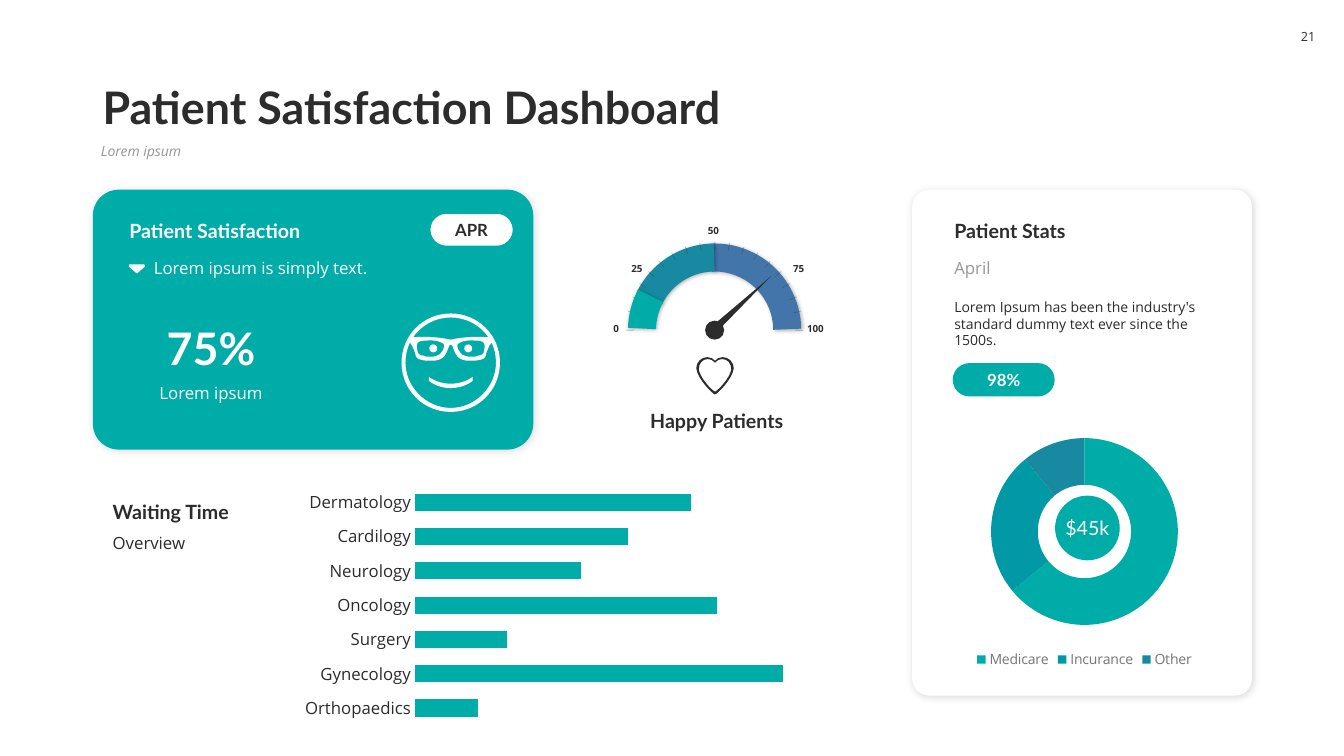
import dataclasses
import math

import pptx
import pptx.chart.data
import pptx.dml.color
import pptx.enum.chart
import pptx.enum.shapes
import pptx.enum.text
import pptx.oxml.ns
import pptx.util
from lxml import etree

Cm, Pt = pptx.util.Cm, pptx.util.Pt
SHAPE = pptx.enum.shapes.MSO_SHAPE
ALIGN = pptx.enum.text.PP_ALIGN
ANCHOR = pptx.enum.text.MSO_ANCHOR
FIT = pptx.enum.text.MSO_AUTO_SIZE
qn = pptx.oxml.ns.qn


@dataclasses.dataclass(frozen=True)
class Theme:
    teal: str = "00ACA8"
    sea: str = "0099A5"
    petrol: str = "178AA1"
    blue: str = "4276AA"
    ink: str = "2C2C2C"
    grey: str = "969696"
    legend: str = "767676"
    white: str = "FFFFFF"
    heading: str = "Lato"
    body: str = "Open Sans"
    huge: int = 32
    large: int = 14
    medium: int = 12
    small: int = 10
    page: int = 9
    tiny: int = 7


THEME = Theme()

# Left halves of symmetric outlines, in cm from their centre.
# One point is a straight line, three points are a Bezier curve.
CARET = [[(0, -.11)], [(-.17, -.11)], [(-.2, -.11), (-.22, -.08), (-.2, -.05)],
         [(-.03, .1)], [(0, .12)]]
HEART = [[(0, -.38)], [(-.05, -.43), (-.11, -.47), (-.19, -.47)],
         [(-.34, -.47), (-.47, -.36), (-.47, -.18)],
         [(-.44, .08), (-.05, .47), (0, .47)]]
HEART_HOLE = [[(0, -.33)], [(-.04, -.38), (-.1, -.42), (-.19, -.42)],
              [(-.31, -.42), (-.41, -.32), (-.41, -.16)],
              [(-.38, .05), (-.08, .37), (0, .4)]]
SMILE = [[(0, .53)], [(-.34, .53), (-.55, .36), (-.55, .36)], [(-.55, .46)],
         [(-.55, .46), (-.34, .64), (0, .64)]]
HEAD = [[(0, -1.24)], [(-.69, -1.24), (-1.24, -.69), (-1.24, 0)],
        [(-1.24, .69), (-.69, 1.24), (0, 1.24)]]
FOREHEAD = [[(0, -1.14)], [(-.39, -1.14), (-.75, -.94), (-.95, -.64)],
            [(-.72, -.66), (-.34, -.66), (0, -.58)]]
CHEEKS = [[(0, 1.14)], [(-.62, 1.14), (-1.14, .61), (-1.14, 0)],
          [(-1.14, -.18), (-1.1, -.36), (-1.03, -.51)],
          [(-.98, -.47), (-.96, -.4), (-.9, -.25)],
          [(-.88, -.1), (-.8, -.08), (-.77, -.08)],
          [(-.66, -.05), (-.6, -.05), (-.52, -.05)],
          [(-.39, -.05), (-.34, -.05), (-.24, -.1)],
          [(-.17, -.13), (-.11, -.25), (-.11, -.25)],
          [(-.11, -.25), (-.06, -.36), (-.04, -.43)],
          [(-.03, -.46), (-.02, -.46), (0, -.46)]]
LENS = [[(-.19, -.33)], [(-.22, -.3), (-.24, -.23), (-.29, -.2)],
        [(-.34, -.18), (-.39, -.15), (-.52, -.15)],
        [(-.6, -.15), (-.65, -.15), (-.7, -.18)],
        [(-.75, -.18), (-.77, -.18), (-.83, -.25)],
        [(-.83, -.28), (-.85, -.33), (-.85, -.36)],
        [(-.85, -.38), (-.88, -.48), (-.8, -.53)],
        [(-.75, -.56), (-.57, -.56), (-.5, -.56)],
        [(-.45, -.56), (-.34, -.56), (-.24, -.51)],
        [(-.11, -.48), (-.19, -.36), (-.19, -.33)]]


def rgb(color):
    return pptx.dml.color.RGBColor.from_string(color)


def style_font(font, size, color, face, bold=False, italic=False):
    font.size, font.name, font.bold, font.italic = Pt(size), face, bold, italic
    font.color.rgb = rgb(color)


def write(holder, words, size, color=THEME.ink, face=THEME.body, bold=False, italic=False,
          align=ALIGN.LEFT, anchor=ANCHOR.TOP, wrap=True, inset=None, fit=FIT.NONE):
    frame = holder.text_frame
    frame.text = words
    frame.word_wrap, frame.vertical_anchor, frame.auto_size = wrap, anchor, fit
    if inset is not None:
        frame.margin_left = frame.margin_right = Cm(inset)
    paragraph = frame.paragraphs[0]
    paragraph.alignment = align
    style_font(paragraph.runs[0].font, size, color, face, bold, italic)
    return paragraph


def add_text(slide, box, words, size, **look):
    write(slide.shapes.add_textbox(*map(Cm, box)), words, size,
          fit=FIT.SHAPE_TO_FIT_TEXT, **look)


def add_heading(slide, box, words, size=THEME.large, anchor=ANCHOR.BOTTOM, **look):
    add_text(slide, box, words, size, face=THEME.heading, bold=True, anchor=anchor, **look)


def paint(shape, fill=None, line=None, width=1):
    shape.shadow.inherit = False
    if fill:
        shape.fill.solid()
        shape.fill.fore_color.rgb = rgb(fill)
    else:
        shape.fill.background()
    if line:
        shape.line.color.rgb = rgb(line)
        shape.line.width = Pt(width)
    else:
        shape.line.fill.background()


def add_figure(slide, kind, box, adjust=(), shadow=None, **look):
    """Add a preset shape; shadow is (opacity in percent, blur, distance) in points."""
    figure = slide.shapes.add_shape(kind, *map(Cm, box))
    for index, value in enumerate(adjust):
        figure.adjustments[index] = value
    paint(figure, **look)
    if shadow:
        opacity, blur, distance = shadow
        effects = figure._element.spPr.find(qn("a:effectLst"))
        outer = etree.SubElement(effects, qn("a:outerShdw"), blurRad=str(Pt(blur)),
                                 dist=str(Pt(distance)), dir="2700000", rotWithShape="0")
        black = etree.SubElement(outer, qn("a:srgbClr"), val="000000")
        etree.SubElement(black, qn("a:alpha"), val=str(opacity * 1000))
    return figure


def add_pill(slide, box, words, color, **look):
    pill = add_figure(slide, SHAPE.ROUNDED_RECTANGLE, box, [.5], **look)
    write(pill, words, THEME.medium, color, THEME.heading, bold=True,
          align=ALIGN.CENTER, anchor=ANCHOR.MIDDLE, inset=0)


def mirror(contour):
    return [[(-x, y) for x, y in segment] for segment in contour]


def symmetric(half):
    """Close a left half with its mirror image, walked backwards."""
    points = [point for segment in mirror(half) for point in segment][::-1]
    whole, index = list(half), 1
    for segment in half[:0:-1]:
        whole.append(points[index:index + len(segment)])
        index += len(segment)
    return whole


def add_outline(slide, center, contours, color):
    """Draw contours as one freeform, then join each three-point segment into a curve."""
    placed = [[(Cm(center[0] + x), Cm(center[1] + y)) for segment in contour
               for x, y in segment] for contour in contours]
    builder = slide.shapes.build_freeform(*placed[0][0])
    for index, points in enumerate(placed):
        if index:
            builder.move_to(*points[0])
        builder.add_line_segments(points[1:], close=False)
    outline = builder.convert_to_shape()
    steps = iter(outline._element.findall(".//" + qn("a:lnTo")))
    for segment in [segment for contour in contours for segment in contour[1:]]:
        first, *others = [next(steps) for _ in segment]
        if others:
            first.tag = qn("a:cubicBezTo")
        for other in others:
            first.append(other[0])
            other.getparent().remove(other)
    paint(outline, fill=color)


def around(x, y, size):
    return x - size / 2, y - size / 2, size, size


def add_face(slide, x, y):
    add_outline(slide, (x, y), [symmetric(SMILE)], THEME.white)
    add_outline(slide, (x, y), [*map(symmetric, (HEAD, FOREHEAD, CHEEKS)), LENS, mirror(LENS)],
                THEME.white)
    for side in (-.44, .44):
        add_figure(slide, SHAPE.OVAL, around(x + side, y - .36, .2), fill=THEME.white)


def add_tick(slide, x, y, degrees, inner=2.03, outer=2.23):
    dx, dy = math.cos(math.radians(degrees)), math.sin(math.radians(degrees))
    ends = [Cm(v) for r in (outer, inner) for v in (x - r * dx, y - r * dy)]
    tick = slide.shapes.add_connector(pptx.enum.shapes.MSO_CONNECTOR.STRAIGHT, *ends)
    tick.line.color.rgb, tick.line.width = rgb(THEME.ink), Pt(.5)
    etree.SubElement(tick._element.spPr.find(".//" + qn("a:srgbClr")),
                     qn("a:alpha"), val="30000")
    etree.SubElement(tick._element.spPr, qn("a:effectLst"))


def add_gauge(slide, x, y):
    def add_band(start, end, color):
        add_figure(slide, SHAPE.ARC, around(x, y, 3.66), [start * .6, end * .6],
                   (30, 3, 1), line=color, width=20)

    add_band(267.6, 359.3, THEME.blue)
    add_band(206.5, 269.6, THEME.petrol)
    add_figure(slide, SHAPE.OVAL, around(x, y, .48), fill=THEME.ink)
    for degrees in (0, *(90 + 9.7 * step for step in range(-8, 9)), 180):
        add_tick(slide, x, y, degrees)
    for left, top, width, words, align in (
            (15.19, 8, .66, "0", ALIGN.RIGHT), (15.65, 6.48, .79, "25", ALIGN.RIGHT),
            (17.58, 5.54, .79, "50", ALIGN.RIGHT), (19.74, 6.48, .79, "75", ALIGN.LEFT),
            (20.09, 8, 1.14, "100", ALIGN.LEFT)):
        add_text(slide, (left, top, width, .56), words, THEME.tiny, bold=True,
                 align=align, anchor=ANCHOR.MIDDLE, wrap=words == "100")
    add_band(181.3, 208.2, THEME.teal)
    needle = add_figure(slide, SHAPE.ISOSCELES_TRIANGLE, (18.57, 6.63, .2, 2.08), fill=THEME.ink)
    needle.rotation = 47


def add_graph(slide, kind, box, values, size):
    data = pptx.chart.data.CategoryChartData()
    data.categories = list(values)
    data.add_series("Series 1", list(values.values()))
    graph = slide.shapes.add_chart(kind, *map(Cm, box), data).chart
    graph.has_title = graph.has_legend = False
    style_font(graph.font, size, THEME.ink, THEME.body)
    return graph


def set_plot_area(graph, **shares):
    area = graph._chartSpace.find(".//" + qn("c:plotArea"))
    layout = area.find(qn("c:layout"))
    if layout is None:
        layout = etree.Element(qn("c:layout"))
        area.insert(0, layout)
    manual = etree.SubElement(layout, qn("c:manualLayout"))
    for name, value in {"layoutTarget": "inner", "xMode": "edge", "yMode": "edge",
                        **shares}.items():
        etree.SubElement(manual, qn("c:" + name), val=str(value))


def add_waiting_times(slide):
    graph = add_graph(slide, pptx.enum.chart.XL_CHART_TYPE.BAR_CLUSTERED, (7.39, 12.12, 14.2, 6.3),
                      {"Dermatology": 75, "Cardilogy": 58, "Neurology": 45, "Oncology": 82,
                       "Surgery": 25, "Gynecology": 100, "Orthopaedics": 17}, THEME.medium)
    set_plot_area(graph, x=.216, y=.017, w=.784, h=.96)
    bars = graph.plots[0]
    bars.gap_width, bars.vary_by_categories = 100, False
    bars.series[0].format.fill.solid()
    bars.series[0].format.fill.fore_color.rgb = rgb(THEME.teal)
    departments, scale = graph.category_axis, graph.value_axis
    departments.reverse_order = True
    departments.major_tick_mark = pptx.enum.chart.XL_TICK_MARK.NONE
    departments.format.line.fill.background()
    scale.minimum_scale, scale.maximum_scale = 0, 120
    scale.visible = scale.has_major_gridlines = False


def add_payers(slide):
    graph = add_graph(slide, pptx.enum.chart.XL_CHART_TYPE.DOUGHNUT, (23.34, 10.69, 7.98, 6.27),
                      {"Medicare": 64, "Incurance": 25, "Other": 11}, THEME.small)
    ring = graph.plots[0]
    ring._element.find(qn("c:holeSize")).set("val", "75")
    for index, color in enumerate((THEME.teal, THEME.sea, THEME.petrol)):
        slice_format = ring.series[0].points[index].format
        slice_format.fill.solid()
        slice_format.fill.fore_color.rgb = rgb(color)
        slice_format.line.fill.background()
    graph.has_legend = True
    graph.legend.position = pptx.enum.chart.XL_LEGEND_POSITION.BOTTOM
    graph.legend.include_in_layout = False
    style_font(graph.legend.font, THEME.small, THEME.legend, THEME.body)


def place(holder, box):
    holder.left, holder.top, holder.width, holder.height = map(Cm, box)


def add_header(slide):
    title, subtitle = slide.placeholders
    place(title, (2.33, 1.47, 29.21, 2.03))
    write(title, "Patient Satisfaction Dashboard", THEME.huge, face=THEME.heading, bold=True,
          anchor=ANCHOR.BOTTOM).line_spacing = .9
    place(subtitle, (2.29, 3.51, 29.26, .91))
    line = write(subtitle, "Lorem ipsum", THEME.small, THEME.grey, italic=True)
    line.line_spacing, line.space_before = .9, Pt(10)
    properties = line._p.get_or_add_pPr()
    properties.set("marL", "0")
    properties.set("indent", "0")
    etree.SubElement(properties, qn("a:buNone"))
    page = add_figure(slide, SHAPE.ROUNDED_RECTANGLE, (32.51, .47, .91, .89), [.27],
                      fill=THEME.white)
    write(page, "21", THEME.page, align=ALIGN.CENTER, anchor=ANCHOR.MIDDLE, wrap=False, inset=0)


def add_satisfaction_card(slide):
    add_figure(slide, SHAPE.ROUNDED_RECTANGLE, (2.34, 4.78, 11.1, 6.55), [.1], (15, 6, 1),
               fill=THEME.teal)
    add_heading(slide, (3.25, 7.92, 4.14, 1.63), "75%", THEME.huge, color=THEME.white,
                align=ALIGN.CENTER)
    add_text(slide, (3.25, 9.53, 4.14, .76), "Lorem ipsum", THEME.medium, color=THEME.white,
             align=ALIGN.CENTER)
    add_pill(slide, (10.83, 5.37, 2.11, .84), "APR", THEME.ink, fill=THEME.white, line=THEME.teal)
    add_heading(slide, (3.01, 5.37, 6.38, .86), "Patient Satisfaction", color=THEME.white)
    add_text(slide, (3.63, 6.36, 9.32, .76), "Lorem ipsum is simply text.", THEME.medium,
             color=THEME.white)
    add_outline(slide, (3.45, 6.77), [symmetric(CARET)], THEME.white)
    add_face(slide, 11.36, 9.14)


def add_stats_card(slide):
    add_figure(slide, SHAPE.ROUNDED_RECTANGLE, (22.99, 4.78, 8.56, 12.75), [.05], (15, 6, 1),
               fill=THEME.white)
    add_heading(slide, (23.8, 5.37, 7.52, .86), "Patient Stats")
    add_text(slide, (23.8, 6.36, 7.52, .76), "April", THEME.medium, color=THEME.grey)
    add_pill(slide, (24.01, 9.15, 2.57, .84), "98%", THEME.white, fill=THEME.teal)
    add_text(slide, (23.8, 7.39, 7.52, 1.12), "Lorem Ipsum has been the industry's standard "
             "dummy text ever since the 1500s.", THEME.small)
    add_payers(slide)
    total = add_figure(slide, SHAPE.OVAL, (26.59, 12.49, 1.63, 1.63), fill=THEME.teal)
    write(total, "$45k", THEME.large, THEME.white, THEME.heading, align=ALIGN.CENTER,
          anchor=ANCHOR.MIDDLE, wrap=False, inset=0)


def main():
    deck = pptx.Presentation()
    deck.slide_width, deck.slide_height = Cm(33.87), Cm(19.05)
    slide = deck.slides.add_slide(deck.slide_layouts[1])
    add_header(slide)
    add_satisfaction_card(slide)
    add_gauge(slide, 18.01, 8.32)
    add_heading(slide, (14.71, 10.16, 6.71, .86), "Happy Patients", anchor=ANCHOR.MIDDLE,
                align=ALIGN.CENTER)
    add_outline(slide, (18.02, 9.47), [symmetric(HEART), symmetric(HEART_HOLE)], THEME.ink)
    add_heading(slide, (2.59, 12.45, 7.26, .86), "Waiting Time")
    add_text(slide, (2.59, 13.31, 7.26, .76), "Overview", THEME.medium)
    add_waiting_times(slide)
    add_stats_card(slide)
    deck.save("out.pptx")


if __name__ == "__main__":
    main()
